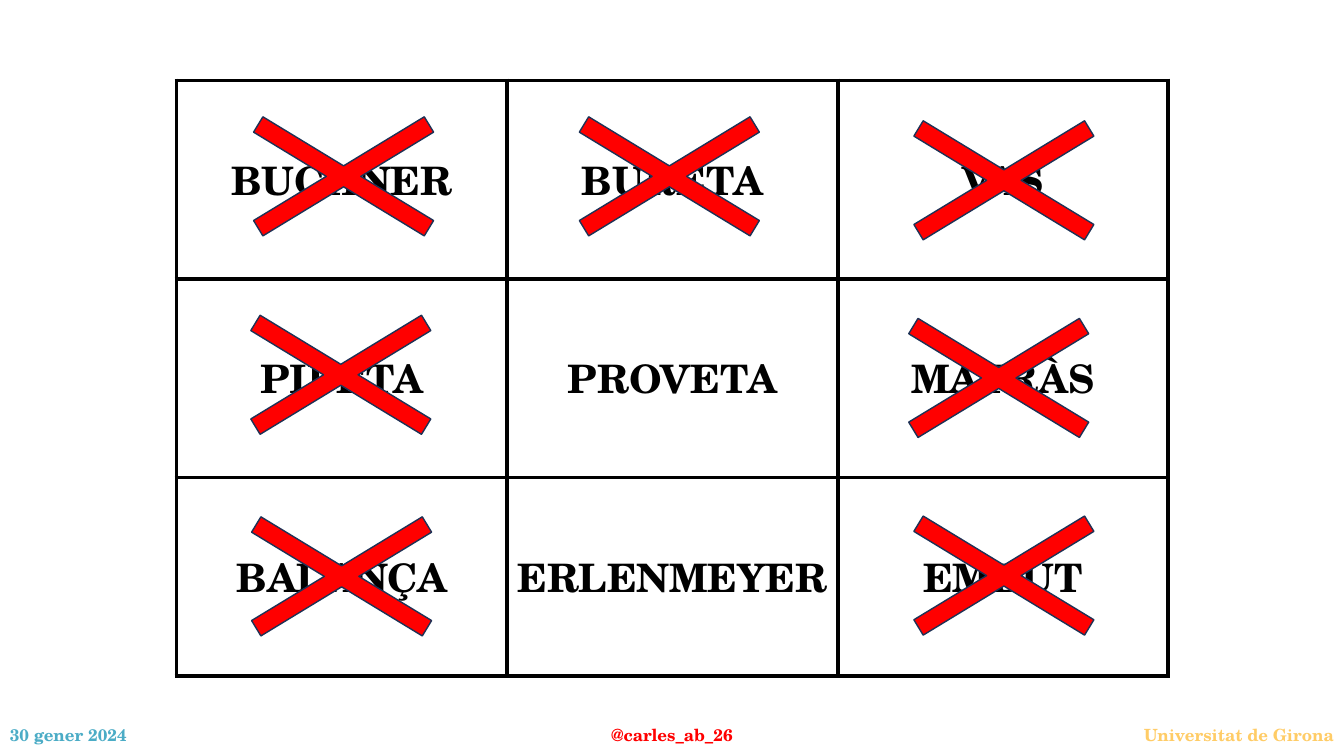
"""Build a three-by-three laboratory bingo card with crossed-out words."""
from dataclasses import dataclass

from lxml.etree import SubElement
from pptx import Presentation
from pptx.dml.color import RGBColor as Rgb
from pptx.enum.shapes import MSO_SHAPE as Shape
from pptx.enum.text import MSO_ANCHOR as Anchor, PP_ALIGN as Align
from pptx.oxml.ns import qn
from pptx.util import Cm, Pt


@dataclass(frozen=True)
class Theme:
    font: str = "TeX Gyre Schola"
    word_size: int = 28
    footer_size: int = 12
    border_width: int = 3
    outline_width: int = 1
    ink: str = "000000"
    paper: str = "FFFFFF"
    date: str = "4BACC6"
    handle: str = "FF0000"
    university: str = "FFCC66"
    cross: str = "FF0000"
    cross_outline: str = "1E3256"


class BingoSlide:
    def __init__(self, deck, theme):
        self.theme = theme
        self.slide = deck.slides.add_slide(deck.slide_layouts[6])

    def style_text(self, frame, size, color, align):
        for para in frame.paragraphs:
            para.alignment = align
            for span in para.runs:
                span.font.name = self.theme.font
                span.font.size = Pt(size)
                span.font.bold = True
                span.font.color.rgb = Rgb.from_string(color)

    def add_footer(self, text, left, color, align):
        box = self.slide.shapes.add_textbox(Cm(left), Cm(18.01), Cm(11.43), Cm(1.02))
        frame = box.text_frame
        frame.word_wrap = True
        frame.vertical_anchor = Anchor.MIDDLE
        frame.text = text
        self.style_text(frame, self.theme.footer_size, color, align)

    def add_borders(self, cell):
        properties = cell._tc.get_or_add_tcPr()
        for position, side in enumerate(("lnL", "lnR", "lnT", "lnB")):
            line = properties.makeelement(qn(f"a:{side}"), {"w": str(Pt(self.theme.border_width))})
            fill = SubElement(line, qn("a:solidFill"))
            SubElement(fill, qn("a:srgbClr"), val=self.theme.ink)
            properties.insert(position, line)

    def add_card(self, words, left, top, cell_width, cell_height):
        rows, columns = len(words), len(words[0])
        table = self.slide.shapes.add_table(
            rows, columns, Cm(left), Cm(top),
            Cm(columns * cell_width), Cm(rows * cell_height)).table
        for row, row_words in enumerate(words):
            for column, word in enumerate(row_words):
                cell = table.cell(row, column)
                cell.text = word
                cell.vertical_anchor = Anchor.MIDDLE
                cell.margin_left = cell.margin_right = Cm(0.1)
                cell.fill.solid()
                cell.fill.fore_color.rgb = Rgb.from_string(self.theme.paper)
                self.style_text(cell.text_frame, self.theme.word_size,
                                self.theme.ink, Align.CENTER)
                self.add_borders(cell)

    def add_cross(self, left, top):
        cross = self.slide.shapes.add_shape(
            Shape.MATH_MULTIPLY, Cm(left), Cm(top), Cm(8.28), Cm(5.03))
        cross.adjustments[0] = 0.09
        cross.shadow.inherit = False
        cross.fill.solid()
        cross.fill.fore_color.rgb = Rgb.from_string(self.theme.cross)
        cross.line.color.rgb = Rgb.from_string(self.theme.cross_outline)
        cross.line.width = Pt(self.theme.outline_width)


WORDS = [
    ["BUCHNER", "BURETA", "VAS"],
    ["PIPETA", "PROVETA", "MATRÀS"],
    ["BALANÇA", "ERLENMEYER", "EMBUT"],
]
CROSS_OFFSETS = {
    (0, 2): (0.05, 0),
    (0, 1): (-0.05, -0.1),
    (2, 2): (0.05, -0.04),
    (1, 2): (-0.08, -0.02),
    (0, 0): (0.07, -0.1),
    (1, 0): (0, -0.1),
    (2, 0): (0.02, -0.02),
}
CARD_LEFT, CARD_TOP = 4.45, 2.03
CELL_WIDTH, CELL_HEIGHT = 8.33, 5


def main():
    deck = Presentation()
    deck.slide_width, deck.slide_height = Cm(33.87), Cm(19.05)
    theme = Theme()
    page = BingoSlide(deck, theme)
    page.add_footer("30 gener 2024", 0, theme.date, Align.LEFT)
    page.add_footer("Universitat de Girona", 22.44, theme.university, Align.RIGHT)
    page.add_footer("@carles_ab_26", 11.22, theme.handle, Align.CENTER)
    page.add_card(WORDS, CARD_LEFT, CARD_TOP, CELL_WIDTH, CELL_HEIGHT)
    for (row, column), (shift_x, shift_y) in CROSS_OFFSETS.items():
        page.add_cross(CARD_LEFT + column * CELL_WIDTH + shift_x,
                       CARD_TOP + row * CELL_HEIGHT + shift_y)
    deck.save("out.pptx")


if __name__ == "__main__":
    main()
